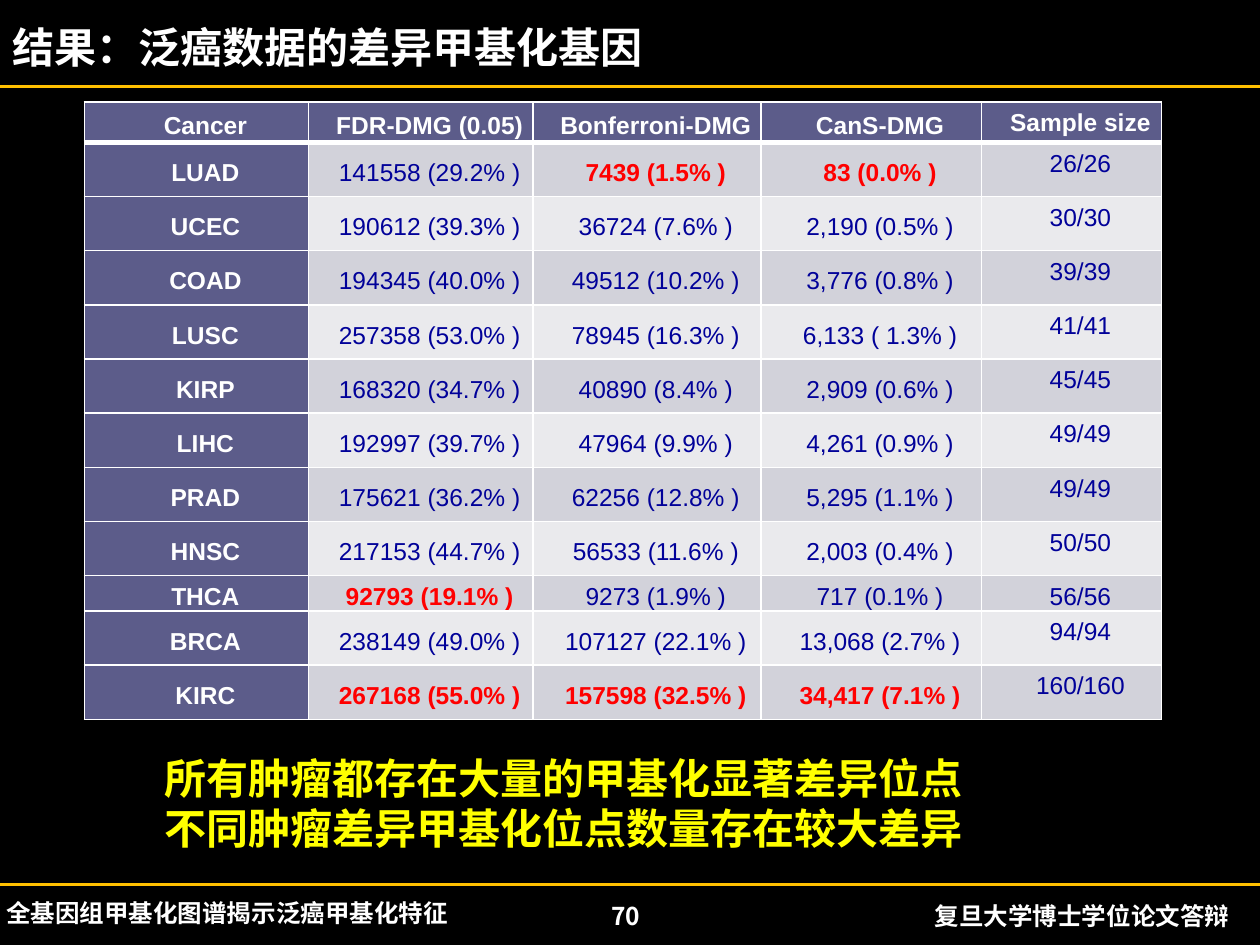
import pptx
import pptx.util
import pptx.dml.color
import pptx.enum.shapes
import pptx.enum.text
import pptx.oxml.ns
import lxml.etree

Inches = pptx.util.Inches
Pt = pptx.util.Pt
RGBColor = pptx.dml.color.RGBColor
Align = pptx.enum.text.PP_ALIGN
Anchor = pptx.enum.text.MSO_ANCHOR
qn = pptx.oxml.ns.qn

BLACK = RGBColor(0, 0, 0)
WHITE = RGBColor(255, 255, 255)
GOLD = RGBColor(0xFF, 0xC0, 0)
YELLOW = RGBColor(0xFF, 0xFF, 0)
RED = RGBColor(0xFF, 0, 0)
NAVY = RGBColor(0x01, 0x01, 0x99)
SLATE = RGBColor(0x5C, 0x5C, 0x8A)
BANDS = RGBColor(0xEA, 0xEA, 0xED), RGBColor(0xD2, 0xD2, 0xDA)

COLS = [1.78, 1.78, 1.81, 1.75, 1.43]
HEAD = ["Cancer", "FDR-DMG (0.05)", "Bonferroni-DMG", "CanS-DMG", "Sample size"]
DATA = [
    ["LUAD", "141558 (29.2% )", "7439 (1.5% )", "83 (0.0% )", "26/26"],
    ["UCEC", "190612 (39.3% )", "36724 (7.6% )", "2,190 (0.5% )", "30/30"],
    ["COAD", "194345 (40.0% )", "49512 (10.2% )", "3,776 (0.8% )", "39/39"],
    ["LUSC", "257358 (53.0% )", "78945 (16.3% )", "6,133 ( 1.3% )", "41/41"],
    ["KIRP", "168320 (34.7% )", "40890 (8.4% )", "2,909 (0.6% )", "45/45"],
    ["LIHC", "192997 (39.7% )", "47964 (9.9% )", "4,261 (0.9% )", "49/49"],
    ["PRAD", "175621 (36.2% )", "62256 (12.8% )", "5,295 (1.1% )", "49/49"],
    ["HNSC", "217153 (44.7% )", "56533 (11.6% )", "2,003 (0.4% )", "50/50"],
    ["THCA", "92793 (19.1% )", "9273 (1.9% )", "717 (0.1% )", "56/56"],
    ["BRCA", "238149 (49.0% )", "107127 (22.1% )", "13,068 (2.7% )", "94/94"],
    ["KIRC", "267168 (55.0% )", "157598 (32.5% )", "34,417 (7.1% )", "160/160"],
]
HOT = {("LUAD", 2), ("LUAD", 3), ("THCA", 1),
       ("KIRC", 1), ("KIRC", 2), ("KIRC", 3)}


def apply(item, form):
    for key, value in form.items():
        setattr(item, key, value)


class Deck:
    hans = "Noto Sans CJK SC"
    latin = "Arial"

    def __init__(self):
        self.file = pptx.Presentation()
        apply(self.file, {"slide_width": Inches(10), "slide_height": Inches(7.5)})
        self.slide = self.file.slides.add_slide(self.file.slide_layouts[5])
        back = self.slide.background.fill
        back.solid()
        back.fore_color.rgb = BLACK

    def font(self, run, name, size, color, bold=True):
        apply(run.font, {"name": name, "size": Pt(size), "bold": bold})
        run.font.color.rgb = color
        face = lxml.etree.SubElement(run.font._element, qn("a:ea"))
        face.set("typeface", name)

    def place(self, shape, area):
        spots = [Inches(n) for n in area]
        apply(shape, dict(zip(("left", "top", "width", "height"), spots)))

    def fill(self, shape, lines, size, color, align, wrap):
        frame = shape.text_frame
        apply(frame, {"word_wrap": wrap, "vertical_anchor": Anchor.TOP,
                      "auto_size": pptx.enum.text.MSO_AUTO_SIZE.NONE})
        for i, line in enumerate(lines):
            para = frame.add_paragraph() if i else frame.paragraphs[0]
            para.alignment = align
            run = para.add_run()
            run.text = line
            self.font(run, self.hans, size, color)

    def title(self, text, area):
        shape = self.slide.shapes.title
        self.place(shape, area)
        self.fill(shape, [text], 24, WHITE, Align.LEFT, False)

    def text(self, lines, area, size=14, color=WHITE, align=Align.LEFT, wrap=True):
        shape = self.slide.shapes.add_textbox(*[Inches(n) for n in area])
        self.fill(shape, lines, size, color, align, wrap)

    def rule(self, y):
        line = self.slide.shapes.add_connector(
            pptx.enum.shapes.MSO_CONNECTOR.STRAIGHT,
            Inches(0), Inches(y), Inches(10), Inches(y))
        line.line.color.rgb = GOLD
        line.line.width = Pt(1.7)
        lxml.etree.SubElement(line._element.spPr, qn("a:effectLst"))

    def border(self, cell, head, below):
        props = cell._tc.get_or_add_tcPr()
        for side in "LRTB":
            thick = head and side == "B" or below and side == "T"
            edge = lxml.etree.SubElement(props, qn("a:ln" + side))
            edge.set("w", str(Pt(3 if thick else 1)))
            paint = lxml.etree.SubElement(edge, qn("a:solidFill"))
            lxml.etree.SubElement(paint, qn("a:srgbClr")).set("val", str(WHITE))

    def cell(self, cell, text, row, col, hot):
        self.border(cell, row == 0, row == 1)
        label = row == 0 or col == 0
        cell.fill.solid()
        cell.fill.fore_color.rgb = SLATE if label else BANDS[row % 2]
        apply(cell, {"margin_left": Inches(0.06), "margin_right": Inches(0.06),
                     "margin_top": 0, "margin_bottom": 0,
                     "vertical_anchor": Anchor.TOP if col == 4 else Anchor.MIDDLE})
        para = cell.text_frame.paragraphs[0]
        apply(para, {"alignment": Align.CENTER, "line_spacing": Pt(20)})
        props = para._p.get_or_add_pPr()
        props.set("marL", "0")
        props.set("indent", str(Inches(0.14)))
        run = para.add_run()
        run.text = text
        color = WHITE if label else RED if hot else NAVY
        self.font(run, self.latin, 14, color, label or hot)

    def table(self, rows, cols, area):
        grid = self.slide.shapes.add_table(
            len(rows), len(cols), *[Inches(n) for n in area]).table
        for col, wide in zip(grid.columns, cols):
            col.width = Inches(wide)
        for r, row in enumerate(rows):
            high = 0.32 if r == 0 else 0.28 if row[0] == "THCA" else 0.43
            grid.rows[r].height = Inches(high)
            for c, text in enumerate(row):
                self.cell(grid.cell(r, c), text, r, c, (row[0], c) in HOT)


def main():
    deck = Deck()
    for y in (7.02, 0.69):
        deck.rule(y)
    deck.text(["复旦大学博士学位论文答辩"], (7.32, 7.1, 2.57, 0.5))
    deck.text(["70"], (3.8, 7.1, 2.33, 0.5), align=Align.CENTER)
    deck.table([HEAD] + DATA, COLS, (0.67, 0.81, 8.55, 4.9))
    deck.title("结果：泛癌数据的差异甲基化基因", (0, 0.12, 5.25, 0.5))
    deck.text(["所有肿瘤都存在大量的甲基化显著差异位点",
               "不同肿瘤差异甲基化位点数量存在较大差异"],
              (1.21, 5.92, 8.33, 0.91), 24, YELLOW, Align.JUSTIFY)
    deck.text(["全基因组甲基化图谱揭示泛癌甲基化特征"],
              (-0.05, 7.08, 3.74, 0.34), wrap=False)
    deck.file.save("out.pptx")


if __name__ == "__main__":
    main()
